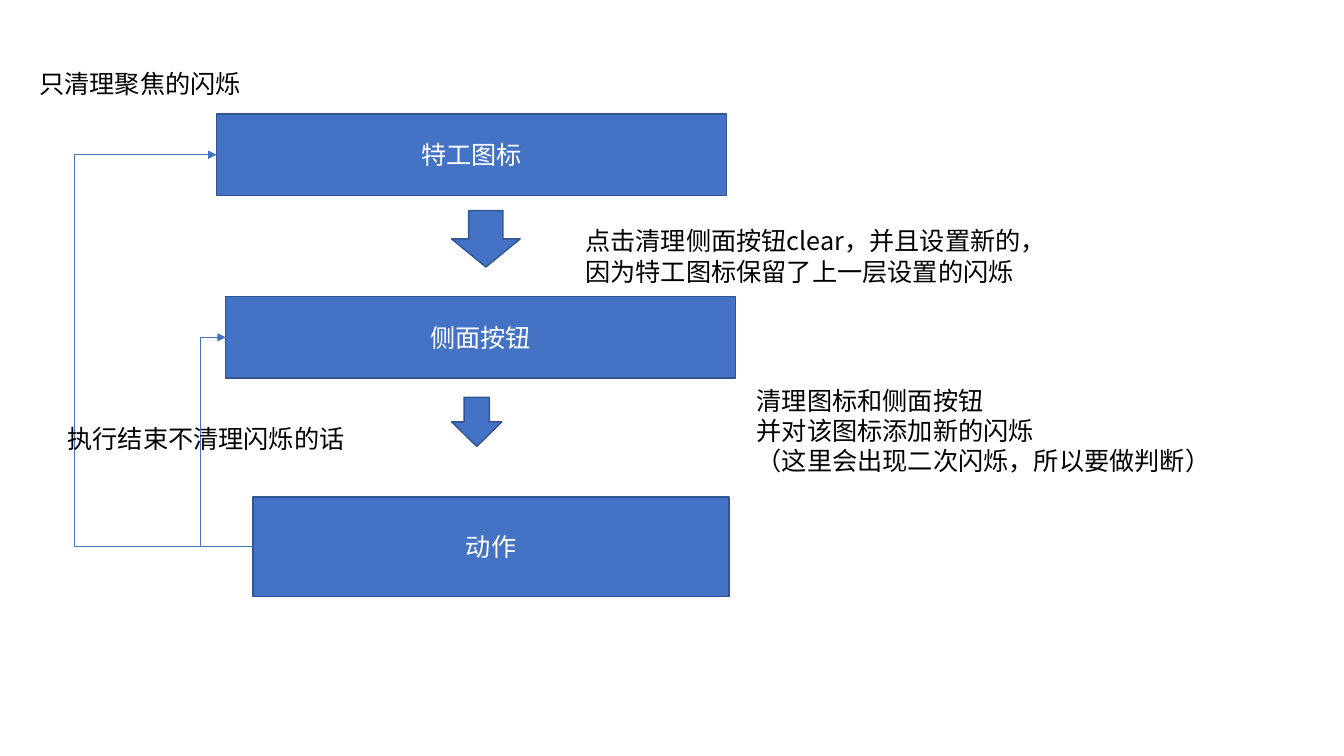
from dataclasses import dataclass

from lxml import etree
from pptx import Presentation
from pptx import util as u
from pptx.dml import color as col
from pptx.enum import shapes, text
from pptx.oxml import ns

FONT = "Noto Sans CJK SC"
BLUE, EDGE, WHITE, BLACK = "4472C4", "325491", "FFFFFF", "000000"
RECT, DOWN = shapes.MSO_SHAPE.RECTANGLE, shapes.MSO_SHAPE.DOWN_ARROW
LEFT_SIDE = 1


@dataclass
class Item:
    """A block, arrow or note; lengths in centimetres."""
    left: float
    top: float
    width: float
    height: float
    words: str = ""

    def frame(self) -> tuple:
        return tuple(map(u.Cm, (self.left, self.top, self.width, self.height)))


@dataclass
class Loop:
    """A way back from the last step; bend is the x of its upright part."""
    step: int
    bend: float


STEPS = [
    Item(5.46, 2.87, 12.85, 2.06, "特工图标"),
    Item(5.69, 7.47, 12.85, 2.06, "侧面按钮"),
    Item(6.38, 12.52, 11.99, 2.51, "动作"),
]
ARROWS = [Item(11.38, 5.31, 1.73, 1.42), Item(11.38, 10.01, 1.27, 1.24)]
NOTES = [
    Item(14.5, 5.56, 12.07, 1.8,
         "点击清理侧面按钮clear，并且设置新的，\n因为特工图标保留了上一层设置的闪烁"),
    Item(18.82, 9.58, 12.07, 2.57,
         "清理图标和侧面按钮\n并对该图标添加新的闪烁\n（这里会出现二次闪烁，所以要做判断）"),
    Item(1.45, 10.54, 7.57, 1.02, "执行结束不清理闪烁的话"),
    Item(0.74, 1.6, 5.64, 1.02, "只清理聚焦的闪烁"),
]
LOOPS = [Loop(1, 5.05), Loop(0, 1.88)]


def paint(fmt, shade: str) -> None:
    """Give a fill a solid colour."""
    fmt.solid()
    fmt.fore_color.rgb = col.RGBColor.from_string(shade)


def write(frame, words: str, *, shade: str = BLACK, size: float = 18,
          align=text.PP_ALIGN.LEFT, anchor=text.MSO_ANCHOR.TOP) -> None:
    """Write one paragraph per line of words."""
    frame.vertical_anchor = anchor
    for i, line in enumerate(words.split("\n")):
        para = frame.paragraphs[0] if i == 0 else frame.add_paragraph()
        para.alignment = align
        run = para.add_run()
        run.text = line
        run.font.size = u.Pt(size)
        run.font.name = FONT
        paint(run.font.fill, shade)
        east = etree.SubElement(run.font._element, ns.qn("a:ea"))
        east.set("typeface", FONT)


def draw(slide, kind, item: Item):
    """Draw a filled shape with its centred label."""
    shape = slide.shapes.add_shape(kind, *item.frame())
    shape.shadow.inherit = False
    paint(shape.fill, BLUE)
    paint(shape.line.fill, EDGE)
    shape.line.width = u.Pt(1)
    if item.words:
        write(shape.text_frame, item.words, shade=WHITE,
              align=text.PP_ALIGN.CENTER, anchor=text.MSO_ANCHOR.MIDDLE)
    return shape


def note(slide, item: Item) -> None:
    """Place a free text that does not wrap."""
    frame = slide.shapes.add_textbox(*item.frame()).text_frame
    frame.word_wrap = False
    frame.auto_size = text.MSO_AUTO_SIZE.SHAPE_TO_FIT_TEXT
    write(frame, item.words)


def link(slide, start, end, bend: float) -> None:
    """Join two left sides by an elbow with an arrowhead at its end."""
    line = slide.shapes.add_connector(
        shapes.MSO_CONNECTOR.ELBOW,
        start.left, start.top + start.height // 2,
        end.left, end.top + end.height // 2)
    line.begin_connect(start, LEFT_SIDE)
    line.end_connect(end, LEFT_SIDE)
    paint(line.line.fill, BLUE)
    line.line.width = u.Pt(0.5)

    # Bend, arrowhead and no shadow
    props = line._element.spPr
    ratio = (start.left - u.Cm(bend)) / (start.left - end.left)
    guide = etree.SubElement(props.find(".//" + ns.qn("a:avLst")), ns.qn("a:gd"))
    guide.set("name", "adj1")
    guide.set("fmla", f"val {round(ratio * 100000)}")
    tip = etree.SubElement(props.find(ns.qn("a:ln")), ns.qn("a:tailEnd"))
    tip.set("type", "triangle")
    etree.SubElement(props, ns.qn("a:effectLst"))


def main() -> None:
    deck = Presentation()
    deck.slide_width, deck.slide_height = u.Cm(33.87), u.Cm(19.05)
    slide = deck.slides.add_slide(deck.slide_layouts[6])

    # Steps and the arrows between them
    steps = [draw(slide, RECT, item) for item in STEPS]
    for item in ARROWS:
        draw(slide, DOWN, item)

    # Ways back from the last step
    for loop in LOOPS:
        link(slide, steps[-1], steps[loop.step], loop.bend)

    # Notes
    for item in NOTES:
        note(slide, item)

    deck.save("out.pptx")


if __name__ == "__main__":
    main()
